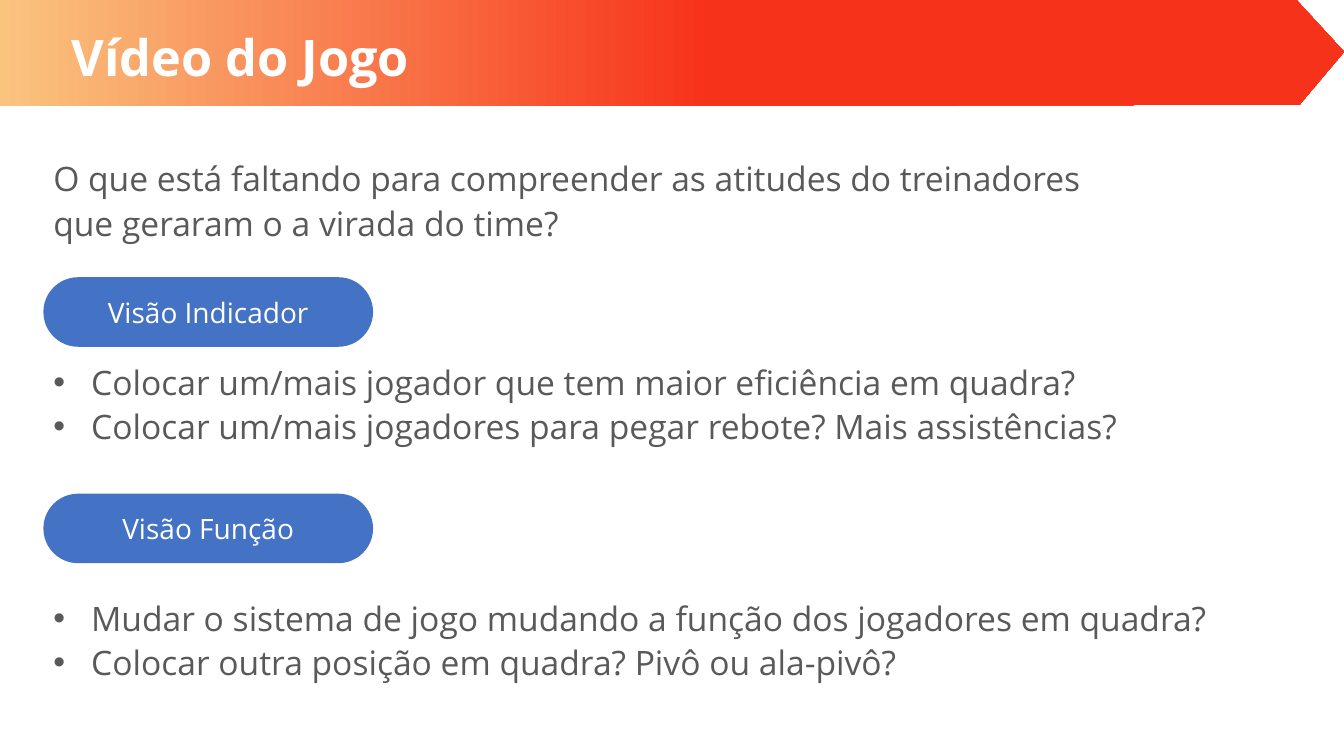
from pptx import Presentation
from pptx.dml.color import RGBColor
from pptx.enum import shapes, text
from pptx.oxml import parse_xml
from pptx.oxml.ns import nsdecls
from pptx.util import Pt

WHITE = RGBColor(0xFF, 0xFF, 0xFF)
GREY = RGBColor(0x59, 0x59, 0x59)
BLUE = RGBColor(0x44, 0x72, 0xC4)
RED = RGBColor(0xF7, 0x32, 0x1A)
SAND = RGBColor(0xFA, 0xC4, 0x7F)

LEFT = 31
BODY_HEIGHT = 70
BANNER = [(0, 0), (925.9, 0), (960, 36.7), (928, 74.9), (825.8, 74.9), (105.8, 75.6), (0, 75.6)]
TITLE_FONT = {"size": Pt(36), "bold": True}
BODY_FONT = {"size": Pt(24)}
PILL_FONT = {"size": Pt(20)}


def write(paragraph, wording, color, font):
    """Put one run of coloured Open Sans into a paragraph."""
    run = paragraph.add_run()
    run.text = wording
    run.font.name = "Open Sans"
    run.font.color.rgb = color
    for key, value in font.items():
        setattr(run.font, key, value)


def add_banner(slide):
    """Draw the arrow-shaped header with its sand-to-red gradient."""
    builder = slide.shapes.build_freeform(*BANNER[0], scale=Pt(1))
    builder.add_line_segments(BANNER[1:], close=True)
    banner = builder.convert_to_shape()
    banner.shadow.inherit = False
    banner.line.fill.background()
    banner.fill.gradient()
    banner.fill.gradient_angle = 0
    for stop, (position, color) in zip(banner.fill.gradient_stops, [(0, SAND), (0.53, RED)]):
        stop.position = position
        stop.color.rgb = color


def add_text(slide, box, lines, color, font, spacing, bulleted=False):
    """Add a wrapped text box with one paragraph for each line."""
    frame = slide.shapes.add_textbox(*map(Pt, box)).text_frame
    frame.word_wrap = True
    for index, line in enumerate(lines):
        paragraph = frame.add_paragraph() if index else frame.paragraphs[0]
        paragraph.line_spacing = spacing
        write(paragraph, line, color, font)
        if bulleted:
            properties = paragraph._p.get_or_add_pPr()
            properties.set("marL", str(Pt(27)))
            properties.set("indent", str(Pt(-27)))
            properties.append(parse_xml(f'<a:buFont {nsdecls("a")} typeface="Arial"/>'))
            properties.append(parse_xml(f'<a:buChar {nsdecls("a")} char="•"/>'))


def add_pill(slide, top, label):
    """Add a blue rounded section label."""
    pill = slide.shapes.add_shape(
        shapes.MSO_SHAPE.ROUNDED_RECTANGLE, Pt(LEFT), Pt(top), Pt(235.5), Pt(49.7))
    pill.adjustments[0] = 0.5
    pill.shadow.inherit = False
    pill.fill.solid()
    pill.fill.fore_color.rgb = BLUE
    pill.line.fill.background()
    pill.text_frame.vertical_anchor = text.MSO_ANCHOR.MIDDLE
    paragraph = pill.text_frame.paragraphs[0]
    paragraph.alignment = text.PP_ALIGN.CENTER
    write(paragraph, label, WHITE, PILL_FONT)


def main():
    """Build the slide and save it."""
    deck = Presentation()
    deck.slide_width, deck.slide_height = Pt(960), Pt(540)
    slide = deck.slides.add_slide(deck.slide_layouts[6])

    add_banner(slide)
    add_text(slide, (44, 20.2, 864, 51), ["Vídeo do Jogo"], WHITE, TITLE_FONT, 0.9)
    question = ("O que está faltando para compreender as atitudes do treinadores "
                "que geraram o a virada do time?")
    add_text(slide, (LEFT, 106.6, 767, BODY_HEIGHT), [question], GREY, BODY_FONT, 1.1)

    sections = [
        ("Visão Indicador", 198, 252, [
            "Colocar um/mais jogador que tem maior eficiência em quadra?",
            "Colocar um/mais jogadores para pegar rebote? Mais assistências?"]),
        ("Visão Função", 352.6, 420.5, [
            "Mudar o sistema de jogo mudando a função dos jogadores em quadra?",
            "Colocar outra posição em quadra? Pivô ou ala-pivô?"]),
    ]
    for label, pill_top, list_top, ideas in sections:
        add_pill(slide, pill_top, label)
        add_text(slide, (LEFT, list_top, 883, BODY_HEIGHT), ideas, GREY, BODY_FONT, 1.1, bulleted=True)

    deck.save("out.pptx")


if __name__ == "__main__":
    main()
